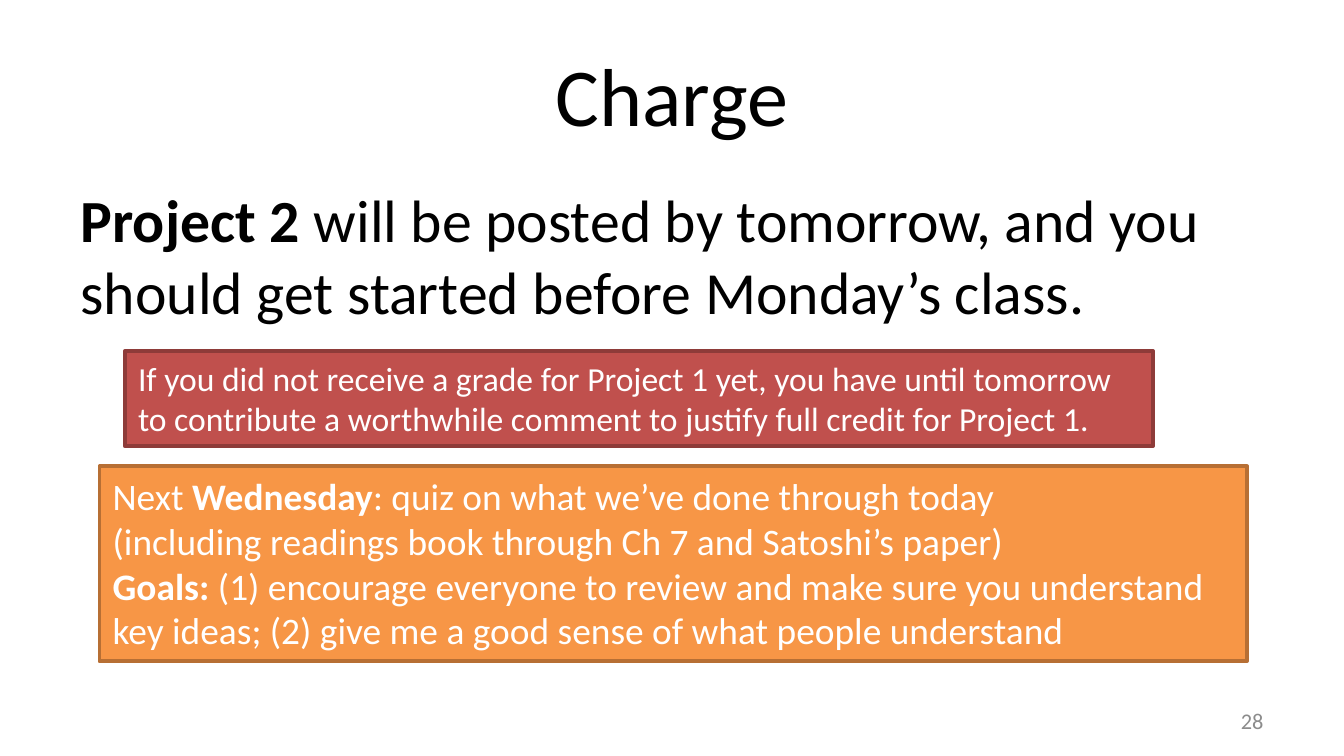
from pptx import Presentation
from pptx.dml.color import RGBColor
from pptx.enum.shapes import MSO_SHAPE as Shape
from pptx.enum.text import MSO_ANCHOR as Anchor, MSO_AUTO_SIZE as AutoSize, PP_ALIGN as Align
from pptx.oxml.xmlchemy import OxmlElement
from pptx.util import Cm, Pt

FONT = "Calibri"
BLACK = RGBColor(0x00, 0x00, 0x00)
WHITE = RGBColor(0xFF, 0xFF, 0xFF)
GRAY = RGBColor(0x8C, 0x8C, 0x8C)
RED = RGBColor(0xC0, 0x50, 0x4D)
DARK_RED = RGBColor(0x8E, 0x3B, 0x39)
ORANGE = RGBColor(0xF7, 0x96, 0x46)
DARK_ORANGE = RGBColor(0xB7, 0x6F, 0x34)


def place(shape, box):
    """Move a shape to a box of left, top, width and height in centimetres."""
    shape.left, shape.top, shape.width, shape.height = map(Cm, box)


def write(text_frame, paragraphs, size, color, align=Align.LEFT, anchor=Anchor.TOP):
    """Fill a text frame with paragraphs, each a list of (text, bold) runs."""
    text_frame.word_wrap = True
    text_frame.auto_size = AutoSize.NONE
    text_frame.vertical_anchor = anchor
    for index, runs in enumerate(paragraphs):
        paragraph = text_frame.add_paragraph() if index else text_frame.paragraphs[0]
        paragraph.alignment = align
        paragraph.space_before = Pt(0)
        for text, bold in runs:
            run = paragraph.add_run()
            run.text = text
            run.font.bold = bold
        font = paragraph.font
        font.name, font.size = FONT, Pt(size)
        font.color.rgb = color


def add_title(slide, box, text):
    """Place the slide title."""
    place(slide.shapes.title, box)
    write(slide.shapes.title.text_frame, [[(text, False)]], 44, BLACK, Align.CENTER, Anchor.MIDDLE)


def add_body(slide, box, runs):
    """Place the main statement as an unbulleted body paragraph."""
    body = slide.placeholders[1]
    place(body, box)
    properties = body.text_frame.paragraphs[0]._p.get_or_add_pPr()
    properties.set("marL", "0")
    properties.set("indent", "0")
    properties.append(OxmlElement("a:buNone"))
    write(body.text_frame, [runs], 32, BLACK)


def add_notice(slide, box, paragraphs, size, fill, line):
    """Place a filled, outlined notice with white text."""
    notice = slide.shapes.add_shape(Shape.RECTANGLE, *map(Cm, box))
    notice.shadow.inherit = False
    notice.fill.solid()
    notice.fill.fore_color.rgb = fill
    notice.line.color.rgb = line
    notice.line.width = Pt(2)
    write(notice.text_frame, paragraphs, size, WHITE)


def add_slide_number(slide, box, number):
    """Place the slide number at the right of its box."""
    text_box = slide.shapes.add_textbox(*map(Cm, box))
    write(text_box.text_frame, [[(number, False)]], 12, GRAY, Align.RIGHT, Anchor.MIDDLE)


def main():
    """Build and save the slide."""
    presentation = Presentation()
    presentation.slide_width, presentation.slide_height = Cm(25.4), Cm(14.28)
    slide = presentation.slides.add_slide(presentation.slide_layouts[1])
    add_title(slide, (1.27, 0.58, 22.86, 2.39), "Charge")
    add_body(slide, (1.27, 3.33, 22.86, 9.42), [
        ("Project 2 ", True),
        ("will be posted by tomorrow, and you should get started before Monday’s class.", False),
    ])
    add_slide_number(slide, (18.21, 13.23, 5.92, 0.76), "28")
    add_notice(slide, (2.36, 6.63, 19.43, 1.8), [
        [("If you did not receive a grade for Project 1 yet, you have until tomorrow "
          "to contribute a worthwhile comment to justify full credit for Project 1.", False)],
    ], 18, RED, DARK_RED)
    add_notice(slide, (1.88, 8.81, 21.69, 3.68), [
        [("Next ", False), ("Wednesday", True),
         (": quiz on what we’ve done through today", False)],
        [("(including readings book through Ch 7 and Satoshi’s paper)", False)],
        [("Goals: ", True),
         ("(1) encourage everyone to review and make sure you understand key ideas; "
          "(2) give me a good sense of what people understand", False)],
    ], 20, ORANGE, DARK_ORANGE)
    presentation.save("out.pptx")


if __name__ == "__main__":
    main()
